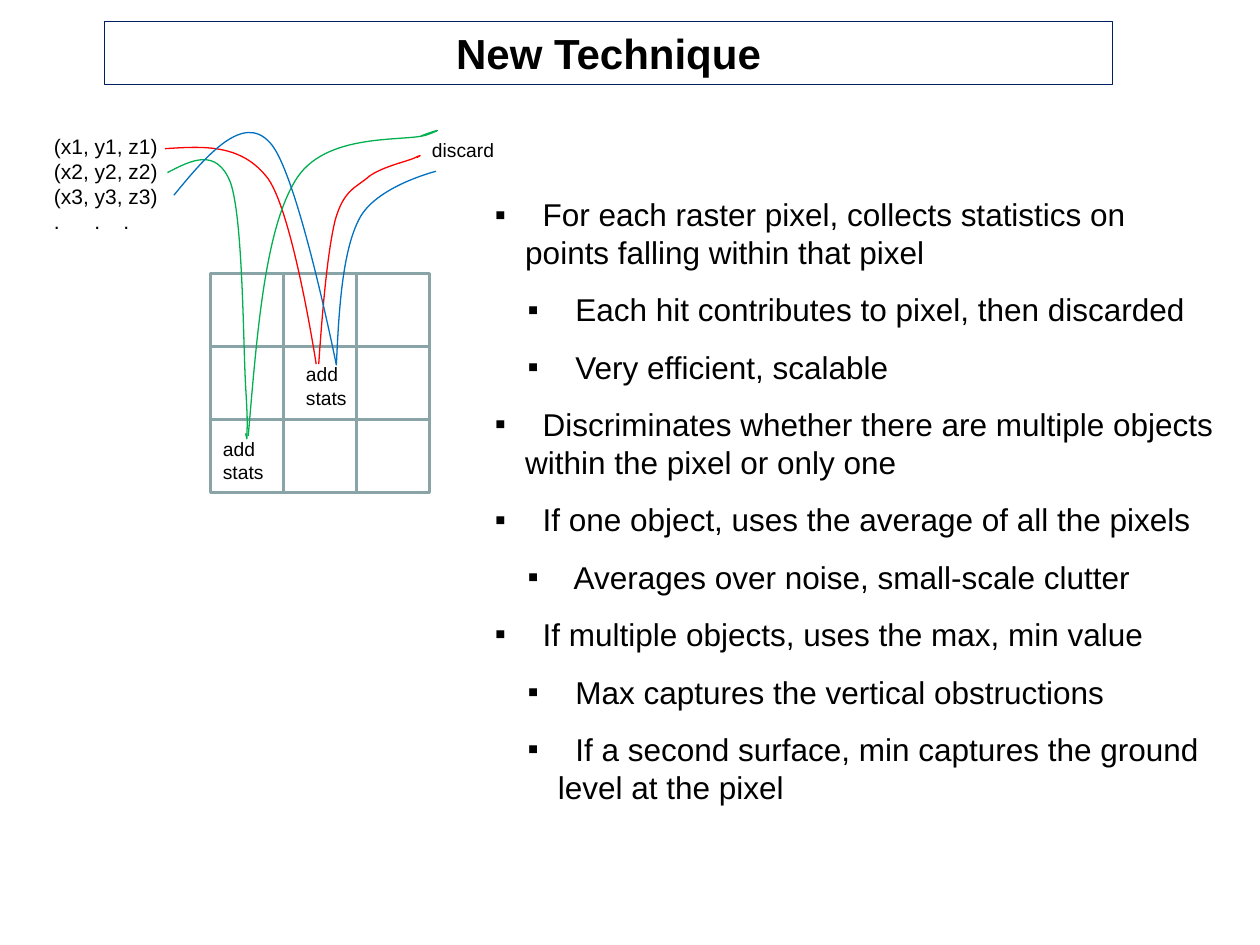
from pptx import Presentation
from pptx.dml.color import RGBColor
from pptx.enum.shapes import MSO_SHAPE
from pptx.enum.text import MSO_ANCHOR, PP_ALIGN
from pptx.oxml.ns import qn
from pptx.util import Pt

SCALE = 9144
TITLE_ONLY = 5
RECTANGLE = MSO_SHAPE.RECTANGLE
MIDDLE = MSO_ANCHOR.MIDDLE
CENTER = PP_ALIGN.CENTER
BLACK, NAVY, GREY = "000000", "002060", "89A4A7"
RED, GREEN, BLUE = "FF0000", "00B050", "0070C0"
CELL = 58
HANG = 24

TITLE_FONT = {"name": "Arial", "size": Pt(24), "bold": True}
BULLET_FONT = {"name": "Arial", "size": Pt(18)}
POINT_FONT = {"name": "Arial", "size": Pt(12)}
LABEL_FONT = {"name": "Arial", "size": Pt(11)}

BULLETS = [
    (0, "  For each raster pixel, collects statistics on points falling within that pixel"),
    (1, "  Each hit contributes to pixel, then discarded"),
    (1, "  Very efficient, scalable"),
    (0, "  Discriminates whether there are multiple objects within the pixel or only one"),
    (0, "  If one object, uses the average of all the pixels"),
    (1, "  Averages over noise, small-scale clutter"),
    (0, "  If multiple objects, uses the max, min value"),
    (1, "  Max captures the vertical obstructions"),
    (1, "  If a second surface, min captures the ground level at the pixel"),
]
POINTS = ["(x1, y1, z1)", "(x2, y2, z2)", "(x3, y3, z3)", ".\t.\t."]
LABELS = [
    ("add stats", (233, 283, 58, 47)),
    ("add stats", (167, 342, 58, 47)),
    ("discard", (333, 105, 133, 29)),
]
CURVES = [
    (RED, [(131, 118), (162, 116), (192, 114), (213, 142),
           (233, 171), (251, 289), (251, 289)]),
    (RED, [(253, 289), (256, 245), (260, 200), (266, 175), (273, 150),
           (283, 149), (293, 140), (304, 132), (324, 128), (330, 125),
           (336, 122), (333, 124), (331, 125)]),
    (GREEN, [(133, 137), (152, 127), (172, 117), (183, 145), (193, 174),
             (193, 273), (195, 307), (197, 340), (196, 339), (196, 345),
             (196, 351), (196, 348), (195, 344)]),
    (GREEN, [(197, 346), (204, 265), (210, 184), (234, 144), (257, 104),
             (322, 113), (339, 107), (355, 101), (344, 104), (334, 108)]),
    (BLUE, [(138, 155), (165, 122), (193, 90), (214, 113),
            (236, 135), (267, 290), (267, 290)]),
    (BLUE, [(267, 289), (269, 244), (272, 199), (285, 174),
            (298, 148), (346, 136), (346, 136)]),
]


def px(length):
    """Turn px into whole EMU."""
    return round(length * SCALE)


def color(value):
    """Turn a hex string into a colour."""
    return RGBColor.from_string(value)


def apply_format(target, values):
    """Set each attribute named in a dict."""
    for name, value in values.items():
        setattr(target, name, value)


def add_child(parent, tag, **attributes):
    """Append an XML element and return it."""
    child = parent.makeelement(qn(tag), attributes)
    parent.append(child)
    return child


def outline(shape, line_color, width):
    """Give a shape a plain line, with no fill or shadow."""
    shape.shadow.inherit = False
    shape.fill.background()
    shape.line.color.rgb = color(line_color)
    shape.line.width = Pt(width)


def add_span(para, text, font):
    """Add black text to a paragraph."""
    span = para.add_run()
    span.text = text
    apply_format(span.font, font)
    span.font.color.rgb = color(BLACK)


def add_text(page, area, lines, font):
    """Add a wrapped text box and return its paragraphs."""
    frame = page.shapes.add_textbox(*map(px, area)).text_frame
    frame.word_wrap = True
    for index, line in enumerate(lines):
        para = frame.add_paragraph() if index else frame.paragraphs[0]
        add_span(para, line, font)
    return frame.paragraphs


def add_title(page, text):
    """Place and format the title placeholder."""
    title = page.shapes.title
    place = zip(("left", "top", "width", "height"), map(px, (83, 17, 800, 50)))
    apply_format(title, dict(place))
    outline(title, NAVY, 0.75)
    title.text_frame.vertical_anchor = MIDDLE
    para = title.text_frame.paragraphs[0]
    para.alignment = CENTER
    add_span(para, text, TITLE_FONT)


def set_bullet(para, level):
    """Give a paragraph a square bullet with a hanging indent."""
    apply_format(para, {"level": level, "space_before": Pt(11.2)})
    properties = para._p.get_or_add_pPr()
    properties.set("marL", str(px(HANG + 26 * level)))
    properties.set("indent", str(px(-HANG)))
    add_child(add_child(properties, "a:buClr"), "a:srgbClr", val=BLACK)
    add_child(properties, "a:buFont", typeface="Arial")
    add_child(properties, "a:buChar", char="▪")


def set_tabs(para, stops):
    """Give a paragraph left tab stops."""
    tabs = add_child(para._p.get_or_add_pPr(), "a:tabLst")
    for stop in stops:
        add_child(tabs, "a:tab", pos=str(px(stop)), algn="l")


def add_bullets(page):
    """Add the list of findings."""
    lines = [text for _, text in BULLETS]
    paras = add_text(page, (383, 150, 592, 495), lines, BULLET_FONT)
    for para, (level, _) in zip(paras, BULLETS):
        set_bullet(para, level)


def add_grid(page):
    """Add the three by three raster."""
    for index in range(9):
        row, column = divmod(index, 3)
        area = (167 + column * CELL, 217 + row * CELL, CELL, CELL)
        outline(page.shapes.add_shape(RECTANGLE, *map(px, area)), GREY, 2)


def add_curve(page, line_color, controls):
    """Draw a chain of cubic curves, three control points to each."""
    builder = page.shapes.build_freeform(*controls[0], scale=SCALE)
    builder.add_line_segments(controls[1:], close=False)
    curve = builder.convert_to_shape()
    segments = list(curve._element.iter(qn("a:lnTo")))
    route = segments[0].getparent()
    for start in range(0, len(segments), 3):
        cubic = add_child(route, "a:cubicBezTo")
        for segment in segments[start:start + 3]:
            cubic.append(segment[0])
            route.remove(segment)
    outline(curve, line_color, 0.75)


def main():
    """Build and save the deck."""
    deck = Presentation()
    deck.slide_width, deck.slide_height = px(1000), px(750)
    page = deck.slides.add_slide(deck.slide_layouts[TITLE_ONLY])
    add_title(page, "New Technique")
    add_bullets(page)
    set_tabs(add_text(page, (33, 101, 108, 90), POINTS, POINT_FONT)[-1], (32, 55))
    add_grid(page)
    for line_color, controls in CURVES:
        add_curve(page, line_color, controls)
    for text, area in LABELS:
        add_text(page, area, [text], LABEL_FONT)
    deck.save("out.pptx")


if __name__ == "__main__":
    main()
